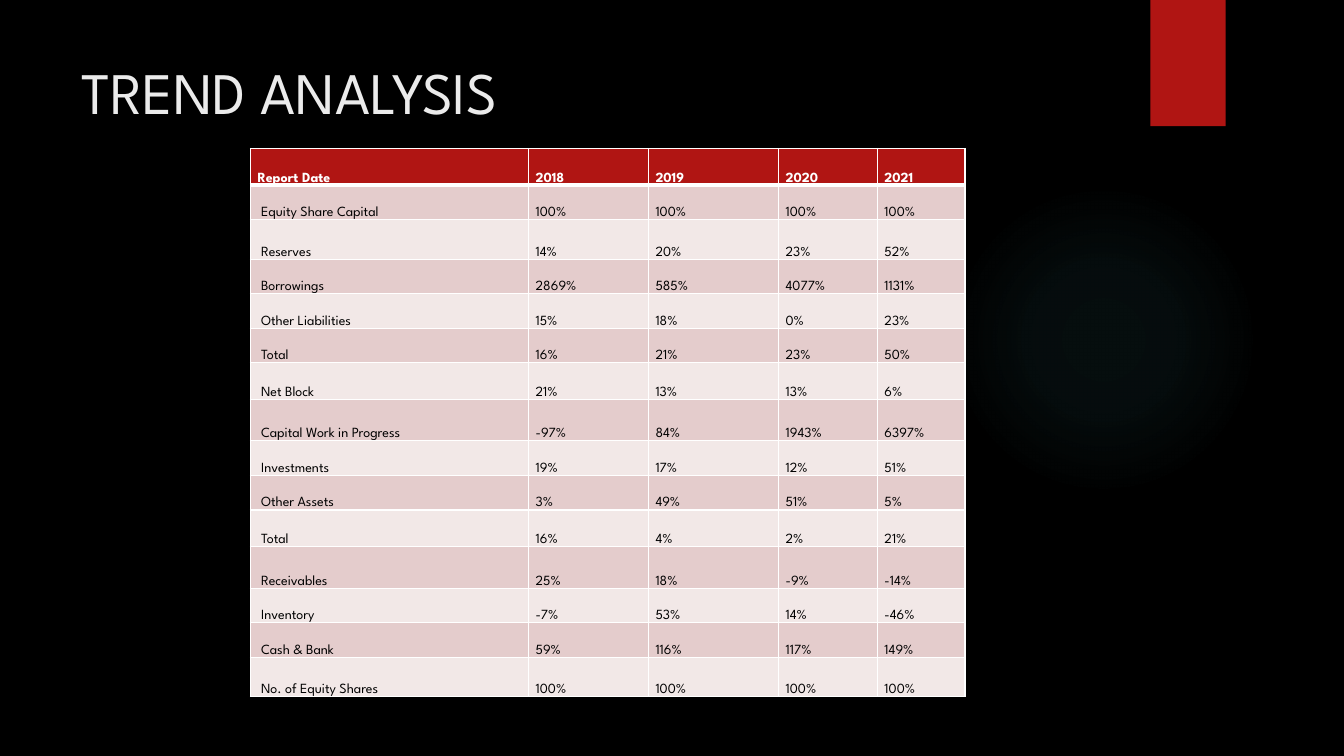
from pptx import Presentation
from pptx.dml.color import RGBColor
from pptx.enum.shapes import MSO_SHAPE
from pptx.enum.text import MSO_ANCHOR
from pptx.oxml import parse_xml
from pptx.oxml.ns import nsdecls
from pptx.util import Cm, Pt

# Content
TITLE = "TREND ANALYSIS"
HEADER = ("Report Date", "2018", "2019", "2020", "2021")
TRENDS = [
    ("Equity Share Capital", "100%", "100%", "100%", "100%"),
    ("Reserves", "14%", "20%", "23%", "52%"),
    ("Borrowings", "2869%", "585%", "4077%", "1131%"),
    ("Other Liabilities", "15%", "18%", "0%", "23%"),
    ("Total", "16%", "21%", "23%", "50%"),
    ("Net Block", "21%", "13%", "13%", "6%"),
    ("Capital Work in Progress", "-97%", "84%", "1943%", "6397%"),
    ("Investments", "19%", "17%", "12%", "51%"),
    ("Other Assets", "3%", "49%", "51%", "5%"),
    ("Total", "16%", "4%", "2%", "21%"),
    ("Receivables", "25%", "18%", "-9%", "-14%"),
    ("Inventory", "-7%", "53%", "14%", "-46%"),
    ("Cash & Bank", "59%", "116%", "117%", "149%"),
    ("No. of Equity Shares", "100%", "100%", "100%", "100%"),
]
COLORS = {
    "background": "000000", "title": "EBEBEB", "accent": "B01513",
    "header text": "FFFFFF", "body text": "000000", "border": "FFFFFF",
    "dark band": "E4CCCC", "light band": "F2E8E7", "glow": "50B9C1",
}
FONT = "League Spartan"

# Layout in centimetres
COLUMN_WIDTHS = (7.01, 3.02, 3.28, 2.49, 2.21)
PLAIN_ROW = 0.87
TALLER_ROWS = {0: 0.93, 2: 0.99, 6: 0.93, 7: 1.04, 10: 0.93, 11: 1.04, 14: 0.99}
CELL_INSET, LABEL_INSET = 0.18, 0.27
GLOW_STOPS = ((0, 7), (36, 6), (69, 0))  # position %, opacity %


def rgb(name):
    return RGBColor.from_string(COLORS[name])


def write(frame, text, *, size, color, bold=False):
    run = frame.paragraphs[0].add_run()
    run.text = text
    run.font.name = FONT
    run.font.size = Pt(size)
    run.font.bold = bold
    run.font.color.rgb = rgb(color)


def add_plain_shape(slide, kind, left, top, width, height):
    shape = slide.shapes.add_shape(kind, Cm(left), Cm(top), Cm(width), Cm(height))
    shape.shadow.inherit = False
    shape.line.fill.background()
    return shape


def fill_with_glow(shape):
    stops = "".join(
        f'<a:gs pos="{position * 1000}"><a:srgbClr val="{COLORS["glow"]}">'
        f'<a:alpha val="{opacity * 1000}"/></a:srgbClr></a:gs>'
        for position, opacity in GLOW_STOPS)
    gradient = parse_xml(
        f'<a:gradFill {nsdecls("a")} rotWithShape="1"><a:gsLst>{stops}</a:gsLst>'
        '<a:path path="circle"><a:fillToRect l="50000" t="50000" r="50000" b="50000"/>'
        '</a:path></a:gradFill>')
    shape._element.spPr.prstGeom.addnext(gradient)


def set_borders(cell, widths):
    properties = cell._tc.get_or_add_tcPr()
    for place, (side, width) in enumerate(widths.items()):
        properties.insert(place, parse_xml(
            f'<a:ln{side} {nsdecls("a")} w="{Pt(width)}"><a:solidFill>'
            f'<a:srgbClr val="{COLORS["border"]}"/></a:solidFill></a:ln{side}>'))


def fill_table(table):
    for column, width in zip(table.columns, COLUMN_WIDTHS):
        column.width = Cm(width)
    for r, values in enumerate([HEADER] + TRENDS):
        is_header = r == 0
        table.rows[r].height = Cm(TALLER_ROWS.get(r, PLAIN_ROW))
        band = "accent" if is_header else "dark band" if r % 2 else "light band"
        for c, value in enumerate(values):
            cell = table.cell(r, c)
            is_label = c == 0 and not is_header
            cell.margin_left = Cm(LABEL_INSET if is_label else CELL_INSET)
            cell.margin_right = Cm(CELL_INSET)
            cell.margin_top = cell.margin_bottom = 0
            cell.vertical_anchor = MSO_ANCHOR.BOTTOM
            cell.fill.solid()
            cell.fill.fore_color.rgb = rgb(band)
            set_borders(cell, {"L": 1, "R": 1, "T": 3 if r == 1 else 1,
                               "B": 3 if is_header else 1})
            write(cell.text_frame, value, size=10, bold=is_header,
                  color="header text" if is_header else "body text")


def main():
    deck = Presentation()
    deck.slide_width, deck.slide_height = Cm(33.87), Cm(19.05)
    slide = deck.slides.add_slide(deck.slide_layouts[6])
    slide.background.fill.solid()
    slide.background.fill.fore_color.rgb = rgb("background")

    # Soft glow and red tab
    glow = add_plain_shape(slide, MSO_SHAPE.OVAL, 23.9, 4.65, 7.82, 7.82)
    fill_with_glow(glow)
    tab = add_plain_shape(slide, MSO_SHAPE.RECTANGLE, 28.99, 0, 1.9, 3.18)
    tab.fill.solid()
    tab.fill.fore_color.rgb = rgb("accent")

    # Title
    title = slide.shapes.add_textbox(Cm(1.8), Cm(1.27), Cm(26.14), Cm(3.89)).text_frame
    title.word_wrap = True
    title.vertical_anchor = MSO_ANCHOR.TOP
    write(title, TITLE, size=42, color="title")

    # Trend table
    row_count = len(TRENDS) + 1
    height = sum(TALLER_ROWS.get(r, PLAIN_ROW) for r in range(row_count))
    trends = slide.shapes.add_table(row_count, len(HEADER), Cm(6.31), Cm(3.74),
                                    Cm(sum(COLUMN_WIDTHS)), Cm(height))
    fill_table(trends.table)

    deck.save("out.pptx")


if __name__ == "__main__":
    main()
